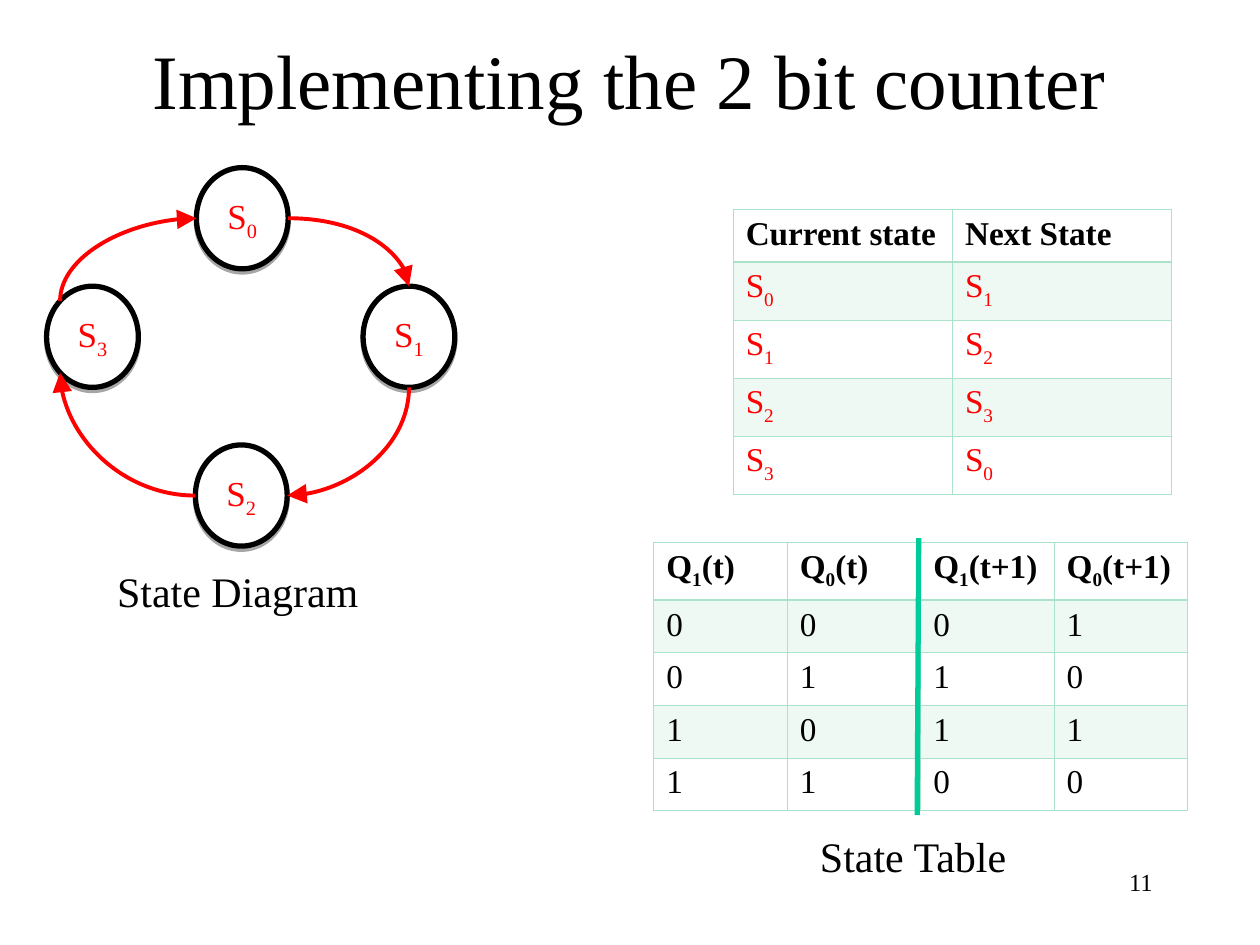
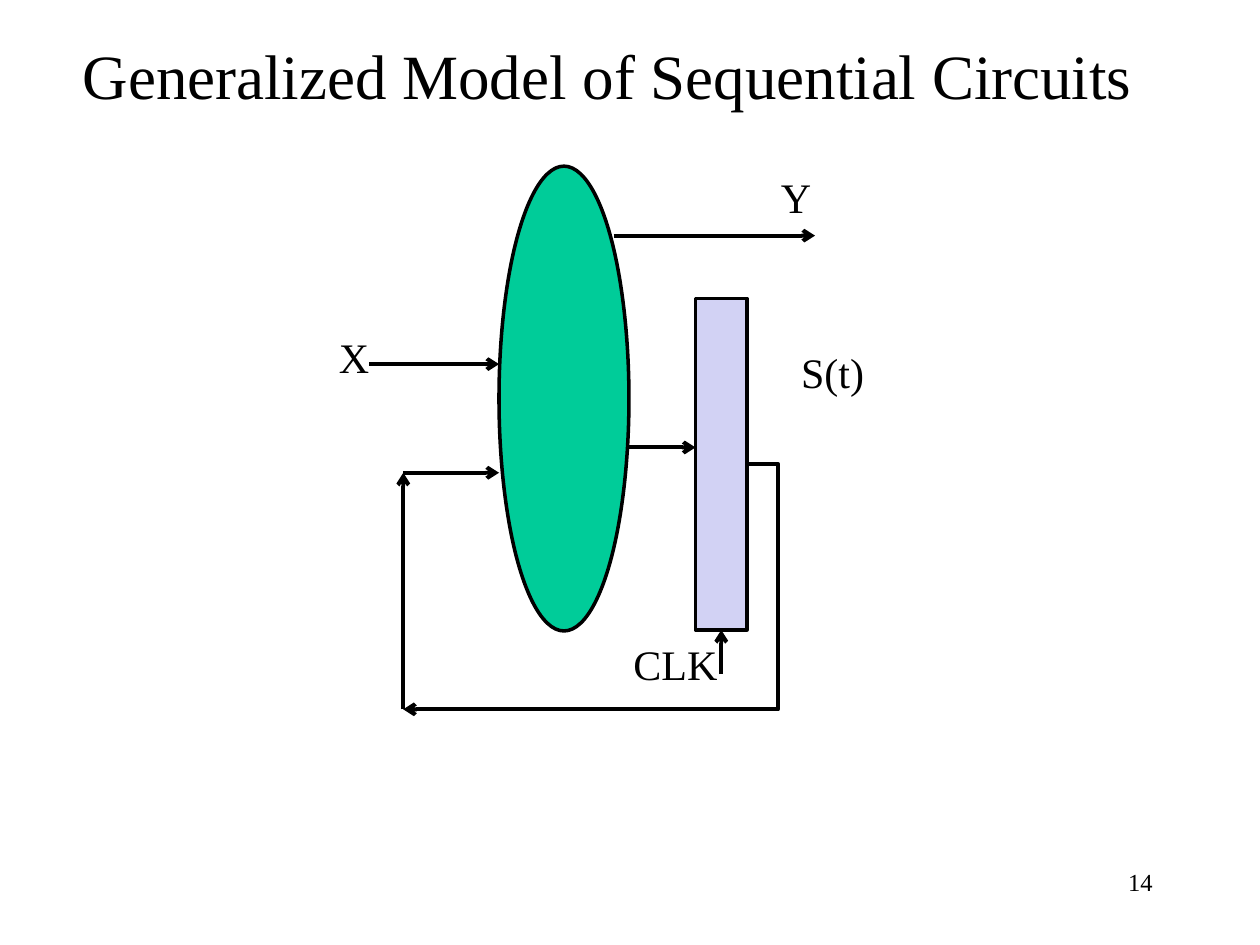
from dataclasses import dataclass
from math import cos, radians, sin

from lxml.etree import SubElement
from pptx import Presentation
from pptx.dml.color import RGBColor
from pptx.enum.shapes import MSO_CONNECTOR as Route, MSO_SHAPE as Preset
from pptx.enum.text import MSO_ANCHOR as Anchor, MSO_AUTO_SIZE as Fit, PP_ALIGN as Align
from pptx.oxml.ns import qn
from pptx.shapes.autoshape import Shape
from pptx.shapes.connector import Connector
from pptx.slide import Slide
from pptx.util import Cm, Pt

FONT = "Times New Roman"
BLACK, WHITE, RED = "000000", "FFFFFF", "FF0000"
GREEN, MINT, LAVENDER = "00CC99", "AAE2CA", "D2D2F4"
STATE_COUNT = 4
STATE_WIDTH, STATE_HEIGHT = 1.85, 2.04
HEADER_BORDER, CELL_BORDER = 0.96, 0.45


@dataclass(frozen=True)
class Label:
    """A text box placed in centimetres."""
    text: str
    left: float
    top: float
    width: float
    height: float = 1.27
    size: float = 24
    align: Align = Align.LEFT
    anchor: Anchor = Anchor.TOP


@dataclass(frozen=True)
class Block:
    """A filled and outlined shape placed in centimetres."""
    preset: Preset
    left: float
    top: float
    width: float
    height: float
    fill: str
    border: float


@dataclass(frozen=True)
class Wire:
    """A connector between two points in centimetres."""
    start: tuple[float, float]
    end: tuple[float, float]
    color: str = BLACK
    weight: float = 2.25
    head: str = "arrow"
    head_size: str = "med"
    route: Route = Route.STRAIGHT


@dataclass(frozen=True)
class Grid:
    """A table placed in centimetres, with a header row."""
    left: float
    top: float
    column_width: float
    row_heights: list[float]
    rows: list[list[str]]
    body_color: str


@dataclass(frozen=True)
class Transition:
    """An arc joining connection sites of two state ellipses."""
    source: int
    source_site: int
    target: int
    target_site: int


STATES = [Block(Preset.OVAL, left, top, STATE_WIDTH, STATE_HEIGHT, WHITE, 3)
          for left, top in ((3.96, 3.38), (7.32, 5.77), (3.94, 8.97), (0.94, 5.77))]
TRANSITIONS = [Transition(0, 6, 1, 0), Transition(1, 4, 2, 6),
               Transition(2, 2, 3, 3), Transition(3, 1, 0, 2)]
STEPS = [(state, (state + 1) % STATE_COUNT) for state in range(STATE_COUNT)]
STATE_GRID = Grid(14.78, 4.22, 4.42, [1.06] + [1.17] * STATE_COUNT,
                  [["Current state", "Next State"]]
                  + [[f"S_{now}", f"S_{following}"] for now, following in STEPS], RED)
BIT_GRID = Grid(13.18, 10.93, 2.69, [1.17] + [1.06] * STATE_COUNT,
                [["Q_1(t)", "Q_0(t)", "Q_1(t+1)", "Q_0(t+1)"]]
                + [list(f"{now:02b}{following:02b}") for now, following in STEPS], BLACK)


def rgb(value: str) -> RGBColor:
    """Turn a hex string into a colour."""
    return RGBColor.from_string(value)


def set_format(target: object, values: dict[str, object]) -> None:
    """Set every attribute listed in a dict."""
    for attribute, value in values.items():
        setattr(target, attribute, value)


def write(frame: object, text: str, size: float, color: str = BLACK,
          align: Align = Align.LEFT, bold: bool = False) -> None:
    """Write one paragraph; the letter after an underscore is a subscript."""
    paragraph = frame.paragraphs[0]
    paragraph.alignment = align
    plain, *rest = text.split("_")
    pieces = [(plain, False)]
    for part in rest:
        pieces += [(part[0], True), (part[1:], False)]
    for piece, lowered in pieces:
        if not piece:
            continue
        run = paragraph.add_run()
        run.text = piece
        set_format(run.font, {"name": FONT, "size": Pt(size), "bold": bold})
        run.font.color.rgb = rgb(color)
        if lowered:
            run.font._element.set("baseline", "-25000")


def draw_label(slide: Slide, label: Label) -> None:
    """Draw a text box."""
    box = slide.shapes.add_textbox(Cm(label.left), Cm(label.top),
                                   Cm(label.width), Cm(label.height))
    set_format(box.text_frame, {"word_wrap": True, "auto_size": Fit.NONE,
                                "vertical_anchor": label.anchor})
    write(box.text_frame, label.text, label.size, align=label.align)


def draw_block(slide: Slide, block: Block) -> Shape:
    """Draw a shape without a shadow."""
    shape = slide.shapes.add_shape(block.preset, Cm(block.left), Cm(block.top),
                                   Cm(block.width), Cm(block.height))
    shape.shadow.inherit = False
    shape.fill.solid()
    shape.fill.fore_color.rgb = rgb(block.fill)
    shape.line.color.rgb = rgb(BLACK)
    shape.line.width = Pt(block.border)
    return shape


def draw_wire(slide: Slide, wire: Wire) -> Connector:
    """Draw a connector with an optional arrowhead."""
    connector = slide.shapes.add_connector(
        wire.route, *(Cm(value) for value in (*wire.start, *wire.end)))
    connector.line.color.rgb = rgb(wire.color)
    connector.line.width = Pt(wire.weight)
    properties = connector._element.spPr
    if wire.head:
        SubElement(properties.find(qn("a:ln")), qn("a:tailEnd"), type=wire.head,
                   w=wire.head_size, len=wire.head_size)
    SubElement(properties, qn("a:effectLst"))
    return connector


def draw_state(slide: Slide, number: int, state: Block) -> Shape:
    """Draw a numbered state ellipse with a hard drop shadow."""
    shape = draw_block(slide, state)
    shadow = SubElement(shape._element.spPr.find(qn("a:effectLst")), qn("a:outerShdw"),
                        blurRad="0", dist=str(Pt(1.8)), dir="5400000", rotWithShape="0")
    tint = SubElement(shadow, qn("a:srgbClr"), val=BLACK)
    SubElement(tint, qn("a:alpha"), val="35000")
    shape.text_frame.vertical_anchor = Anchor.MIDDLE
    write(shape.text_frame, f"S_{number}", 20, RED, Align.CENTER)
    return shape


def site_point(state: Block, site: int) -> tuple[float, float]:
    """Locate one of the eight sites, counted anticlockwise from the top."""
    angle = radians(45 * site)
    return (state.left + state.width / 2 * (1 - sin(angle)),
            state.top + state.height / 2 * (1 - cos(angle)))


def draw_transition(slide: Slide, arc: Transition, ellipses: list[Shape]) -> None:
    """Draw a quarter arc, turned 90 degrees further for each state."""
    start = site_point(STATES[arc.source], arc.source_site)
    end = site_point(STATES[arc.target], arc.target_site)
    connector = draw_wire(slide, Wire(start, end, RED, head="triangle",
                                      head_size="lg", route=Route.CURVE))
    width, height = abs(end[0] - start[0]), abs(end[1] - start[1])
    if arc.source % 2:
        width, height = height, width
    set_format(connector, {
        "left": Cm((start[0] + end[0] - width) / 2),
        "top": Cm((start[1] + end[1] - height) / 2),
        "width": Cm(width),
        "height": Cm(height),
    })
    properties = connector._element.spPr
    set_format(properties.xfrm, {"rot": 90 * arc.source, "flipH": False, "flipV": False})
    properties.find(qn("a:prstGeom")).set("prst", "curvedConnector2")
    connector._connect_begin_to(ellipses[arc.source], arc.source_site)
    connector._connect_end_to(ellipses[arc.target], arc.target_site)


def style_cell(cell: object, row: int) -> None:
    """Fill odd rows with a light tint and outline the cell."""
    properties = cell._tc.get_or_add_tcPr()
    if row % 2:
        cell.fill.solid()
        cell.fill.fore_color.rgb = rgb(MINT)
        tint = properties.find(qn("a:solidFill")).find(qn("a:srgbClr"))
        SubElement(tint, qn("a:alpha"), val="20000")
    else:
        cell.fill.background()
    weights = {"lnL": CELL_BORDER, "lnR": CELL_BORDER,
               "lnT": HEADER_BORDER if row == 1 else CELL_BORDER,
               "lnB": HEADER_BORDER if row == 0 else CELL_BORDER}
    for position, (side, weight) in enumerate(weights.items()):
        border = SubElement(properties, qn(f"a:{side}"), w=str(Pt(weight)))
        SubElement(SubElement(border, qn("a:solidFill")), qn("a:srgbClr"), val=MINT)
        properties.insert(position, border)


def draw_grid(slide: Slide, grid: Grid) -> None:
    """Draw a table with a bold header."""
    columns = len(grid.rows[0])
    table = slide.shapes.add_table(
        len(grid.rows), columns, Cm(grid.left), Cm(grid.top),
        Cm(grid.column_width * columns), Cm(sum(grid.row_heights))).table
    table.horz_banding = False
    for column in table.columns:
        column.width = Cm(grid.column_width)
    for row, texts in enumerate(grid.rows):
        table.rows[row].height = Cm(grid.row_heights[row])
        for column, text in enumerate(texts):
            cell = table.cell(row, column)
            write(cell.text_frame, text, 19, grid.body_color if row else BLACK, bold=row == 0)
            style_cell(cell, row)


def add_page(deck: Presentation, title: Label, number: int) -> Slide:
    """Add a blank slide with its title and page number."""
    slide = deck.slides.add_slide(deck.slide_layouts[6])
    draw_label(slide, title)
    draw_label(slide, Label(str(number), 18.21, 17.35, 5.28, size=14, align=Align.RIGHT))
    return slide


def build_counter(deck: Presentation) -> None:
    """Build the slide on the 2 bit counter."""
    slide = add_page(deck, Label("Implementing the 2 bit counter", 1.9, 0, 21.59, 3.18, 44,
                                 Align.CENTER, Anchor.MIDDLE), 11)
    ellipses = [draw_state(slide, number, state) for number, state in enumerate(STATES)]
    for arc in TRANSITIONS:
        draw_transition(slide, arc, ellipses)
    for caption in (Label("State Diagram", 2.11, 11.28, 5.7),
                    Label("State Table", 16.28, 16.61, 4.6)):
        draw_label(slide, caption)
    draw_grid(slide, BIT_GRID)
    draw_wire(slide, Wire((18.52, 10.85), (18.49, 16.43), GREEN, 3, ""))
    draw_grid(slide, STATE_GRID)


def build_model(deck: Presentation) -> None:
    """Build the slide on the generalized sequential circuit."""
    slide = add_page(deck, Label("Generalized Model of Sequential Circuits",
                                 1.42, 0.61, 22, 1.78, 36), 14)
    register = draw_block(slide, Block(Preset.RECTANGLE, 14.02, 6.02, 1.04, 6.68, LAVENDER, 2))
    draw_block(slide, Block(Preset.OVAL, 10.06, 3.35, 2.62, 9.37, GREEN, 2))
    for wire in (Wire((7.44, 7.34), (10.06, 7.34)),
                 Wire((12.68, 9.02), (14.02, 9.02)),
                 Wire((8.13, 14.3), (8.13, 9.53)),
                 Wire((8.13, 9.53), (10.06, 9.53)),
                 Wire((12.37, 4.75), (16.43, 4.75))):
        draw_wire(slide, wire)
    feedback = draw_wire(slide, Wire((15.06, 9.36), (8.13, 14.3), route=Route.ELBOW))
    feedback.begin_connect(register, 3)
    bend = feedback._element.spPr.find(qn("a:prstGeom")).find(qn("a:avLst"))
    SubElement(bend, qn("a:gd"), name="adj1", fmla="val -9100")
    clock = draw_wire(slide, Wire((14.54, 13.59), (14.54, 12.7)))
    clock.end_connect(register, 2)
    for signal in (Label("X", 6.58, 6.55, 1.4), Label("Y", 15.49, 3.33, 1.4),
                   Label("S(t)", 15.9, 6.86, 2.1), Label("CLK", 12.52, 12.75, 2.5)):
        draw_label(slide, signal)


def main() -> None:
    """Build and save the presentation."""
    deck = Presentation()
    set_format(deck, {"slide_width": Cm(25.4), "slide_height": Cm(19.05)})
    build_counter(deck)
    build_model(deck)
    deck.save("out.pptx")


if __name__ == "__main__":
    main()
